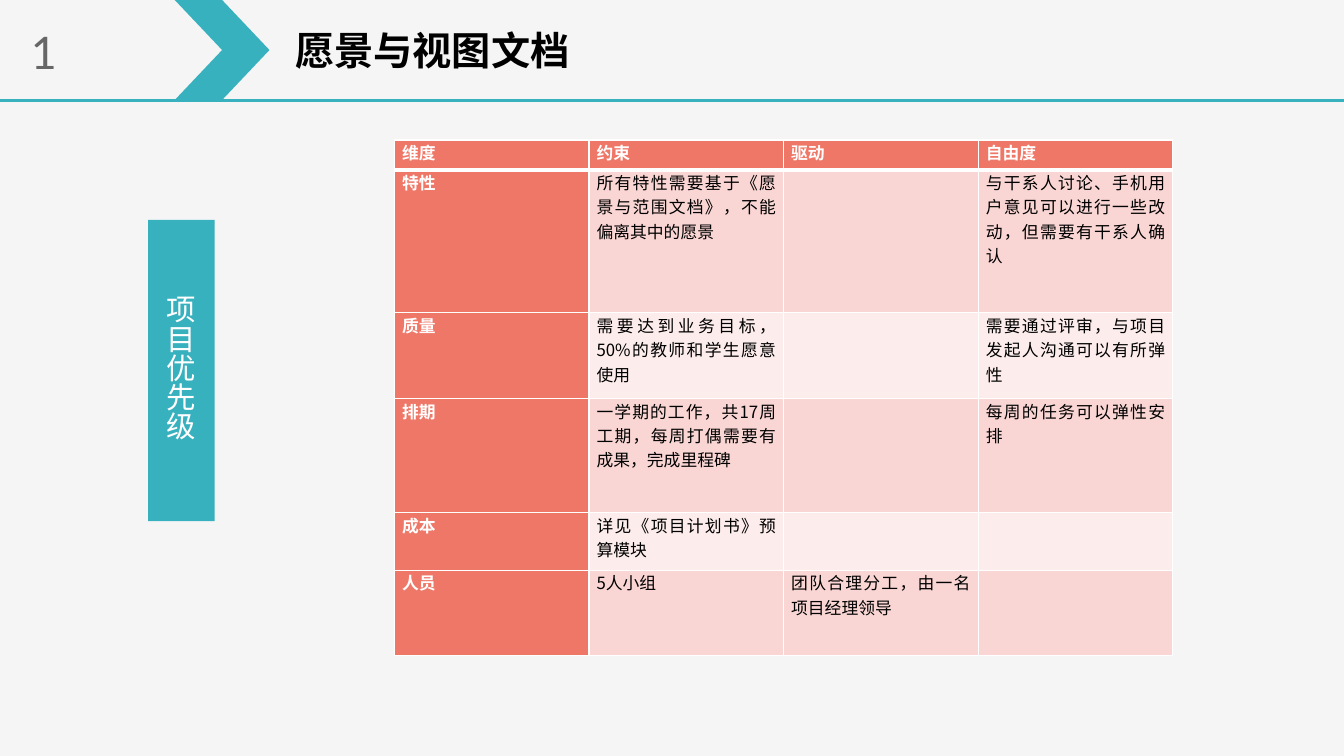
import pptx
import pptx.dml.color
import pptx.enum.shapes
import pptx.enum.text
import pptx.oxml
import pptx.oxml.ns
import pptx.util
from pptx.dml.color import RGBColor
from pptx.enum.shapes import MSO_CONNECTOR, MSO_SHAPE
from pptx.enum.text import MSO_ANCHOR, MSO_AUTO_SIZE, PP_ALIGN
from pptx.util import Pt

TEAL = RGBColor(0x38, 0xB1, 0xBF)
CORAL = RGBColor(0xEF, 0x77, 0x68)
PINK = RGBColor(0xF9, 0xD6, 0xD4)
PALE_PINK = RGBColor(0xFC, 0xEC, 0xEB)
BACKGROUND = RGBColor(0xF5, 0xF5, 0xF5)
GRAY = RGBColor(0x66, 0x66, 0x66)
BLACK = RGBColor(0, 0, 0)
WHITE = RGBColor(0xFF, 0xFF, 0xFF)

CHINESE_FONT = "Noto Sans CJK SC"
NUMBER_FONT = "Lato"

COLUMN_WIDTH = 139
ROW_HEIGHTS = [21.5, 102, 61.3, 81.5, 41, 61.2]
PRIORITIES = [
    ["维度", "约束", "驱动", "自由度"],
    ["特性", "所有特性需要基于《愿景与范围文档》，不能偏离其中的愿景", "",
     "与干系人讨论、手机用户意见可以进行一些改动，但需要有干系人确认"],
    ["质量", "需要达到业务目标，50%的教师和学生愿意使用", "",
     "需要通过评审，与项目发起人沟通可以有所弹性"],
    ["排期", "一学期的工作，共17周工期，每周打偶需要有成果，完成里程碑", "",
     "每周的任务可以弹性安排"],
    ["成本", "详见《项目计划书》预算模块", "", ""],
    ["人员", "5人小组", "团队合理分工，由一名项目经理领导", ""],
]


def write_text(text_frame, text, size, color, bold=False,
               alignment=PP_ALIGN.LEFT, font_name=CHINESE_FONT):
    text_frame.text = text
    paragraph = text_frame.paragraphs[0]
    paragraph.alignment = alignment
    font = paragraph.font
    font.name, font.size, font.bold = font_name, Pt(size), bold
    font.color.rgb = color
    # East Asian characters need their own typeface entry
    properties = paragraph._p.pPr.find(pptx.oxml.ns.qn("a:defRPr"))
    properties.append(pptx.oxml.parse_xml(
        f'<a:ea {pptx.oxml.ns.nsdecls("a")} typeface="{font_name}"/>'))
    return paragraph


def add_teal_shape(slide, kind, left, top, width, height):
    shape = slide.shapes.add_shape(kind, Pt(left), Pt(top), Pt(width), Pt(height))
    shape.shadow.inherit = False
    shape.fill.solid()
    shape.fill.fore_color.rgb = TEAL
    shape.line.fill.background()
    return shape


def add_header_line(slide, y, width):
    line = slide.shapes.add_connector(
        MSO_CONNECTOR.STRAIGHT, Pt(0), Pt(y), Pt(width), Pt(y))
    line.line.color.rgb = TEAL
    line.line.width = Pt(2.25)
    line._element.spPr.append(pptx.oxml.parse_xml(
        f'<a:effectLst {pptx.oxml.ns.nsdecls("a")}/>'))


def add_number(slide, number):
    box = slide.shapes.add_textbox(Pt(15), Pt(14.4), Pt(35), Pt(46))
    box.text_frame.word_wrap = False
    box.text_frame.auto_size = MSO_AUTO_SIZE.SHAPE_TO_FIT_TEXT
    write_text(box.text_frame, number, 32, GRAY, font_name=NUMBER_FONT)


def place_title(slide, text):
    title = slide.shapes.title
    title.left, title.top, title.width, title.height = Pt(203.8), Pt(15), Pt(321), Pt(41)
    title.text_frame.auto_size = MSO_AUTO_SIZE.NONE
    title.text_frame.vertical_anchor = MSO_ANCHOR.MIDDLE
    write_text(title.text_frame, text, 28, BLACK, bold=True)


def add_label(slide, text):
    label = add_teal_shape(slide, MSO_SHAPE.RECTANGLE, 105.8, 157, 47.5, 215.3)
    label.text_frame.word_wrap = True
    label.text_frame.vertical_anchor = MSO_ANCHOR.MIDDLE
    paragraph = write_text(label.text_frame, text, 21, WHITE, alignment=PP_ALIGN.CENTER)
    paragraph.line_spacing = 0.83


def set_borders(cell, widths):
    for side, width in widths.items():
        cell._tc.get_or_add_tcPr().append(pptx.oxml.parse_xml(
            f'<a:ln{side} {pptx.oxml.ns.nsdecls("a")} w="{Pt(width)}">'
            f'<a:solidFill><a:srgbClr val="{WHITE}"/></a:solidFill></a:ln{side}>'))


def add_priority_table(slide):
    frame = slide.shapes.add_table(
        len(PRIORITIES), len(PRIORITIES[0]), Pt(281.8), Pt(100),
        Pt(COLUMN_WIDTH * len(PRIORITIES[0])), Pt(sum(ROW_HEIGHTS)))
    table = frame.table
    for column in table.columns:
        column.width = Pt(COLUMN_WIDTH)
    for row_index, (height, texts) in enumerate(zip(ROW_HEIGHTS, PRIORITIES)):
        table.rows[row_index].height = Pt(height)
        for column_index, text in enumerate(texts):
            cell = table.cell(row_index, column_index)
            heading = row_index == 0 or column_index == 0
            cell.margin_left = cell.margin_right = Pt(5.4)
            cell.margin_top = cell.margin_bottom = Pt(0)
            # The rule below the header row is thicker
            set_borders(cell, {"L": 1, "R": 1,
                               "T": 3 if row_index == 1 else 1,
                               "B": 3 if row_index == 0 else 1})
            cell.fill.solid()
            band = PINK if row_index % 2 else PALE_PINK
            cell.fill.fore_color.rgb = CORAL if heading else band
            write_text(cell.text_frame, text, 12, WHITE if heading else BLACK,
                       bold=heading, alignment=PP_ALIGN.JUSTIFY)


def main():
    presentation = pptx.Presentation()
    presentation.slide_width, presentation.slide_height = Pt(960), Pt(540)
    slide = presentation.slides.add_slide(presentation.slide_layouts[5])
    slide.background.fill.solid()
    slide.background.fill.fore_color.rgb = BACKGROUND

    # Header
    add_header_line(slide, 71.5, 960)
    add_teal_shape(slide, MSO_SHAPE.CHEVRON, 124.8, 0, 67.7, 71.5)
    add_number(slide, "1")
    place_title(slide, "愿景与视图文档")

    # Content
    add_priority_table(slide)
    add_label(slide, "项目优先级")

    presentation.save("out.pptx")


if __name__ == "__main__":
    main()
